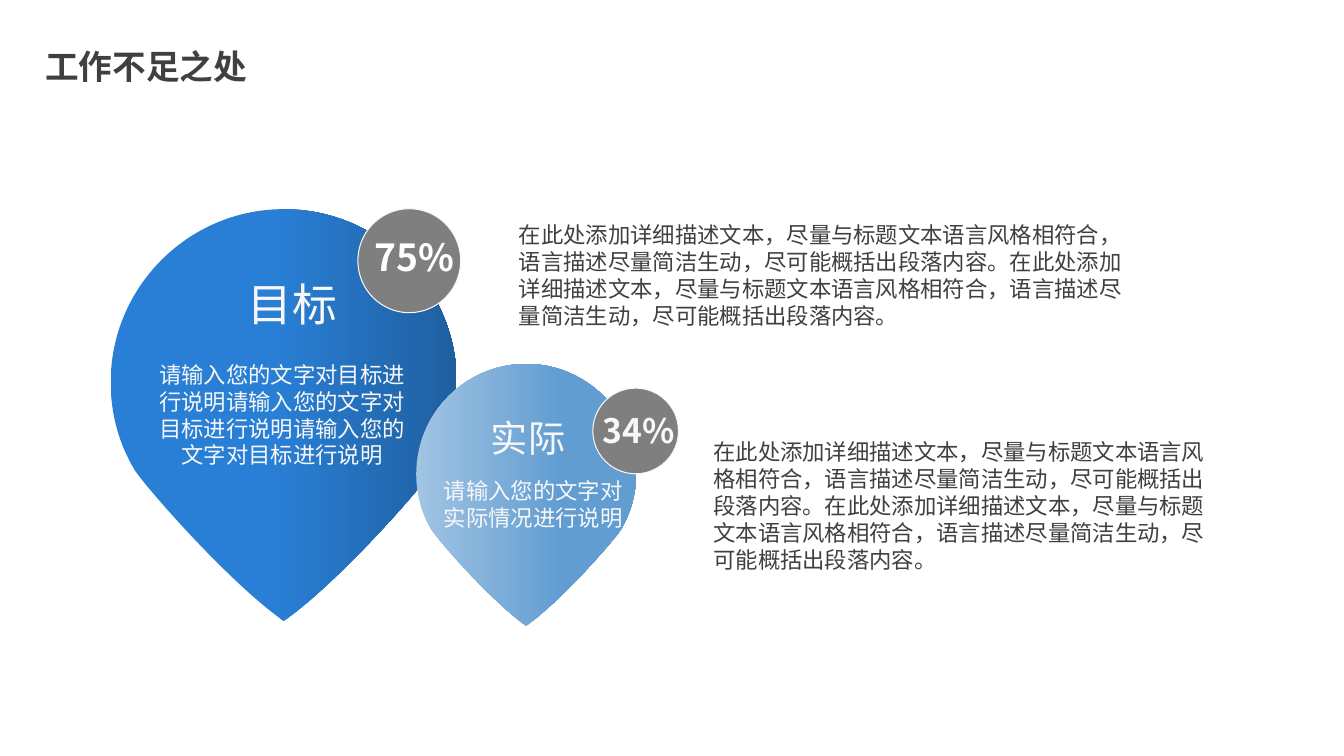
"""Build the slide comparing target and actual results with two drop shapes."""
from lxml.etree import Element, SubElement
from pptx import Presentation
from pptx.dml.color import RGBColor
from pptx.enum.shapes import MSO_SHAPE as Shape
from pptx.enum.text import MSO_ANCHOR as Anchor, MSO_AUTO_SIZE as AutoSize, PP_ALIGN as Align
from pptx.oxml.ns import qn
from pptx.util import Cm, Pt

FONT = "Noto Sans CJK SC"
COLORS = {
    "blue": "297FD5", "navy": "1F5FA0", "pale": "A1C4E3", "sky": "629DD1",
    "gray": "7F7F7F", "dark": "404040", "light": "F8F8F8", "white": "FFFFFF",
}
TITLE = ("工作不足之处", (0.89, 1.04, 5.64, 1.27), 24, "dark", True, Align.LEFT, False)
DESCRIPTION = "在此处添加详细描述文本，尽量与标题文本语言风格相符合，语言描述尽量简洁生动，尽可能概括出段落内容。" * 2
TARGET_NOTE = "请输入您的文字对目标进行说明" * 3
ACTUAL_NOTE = "请输入您的文字对实际情况进行说明"

# centre x, top, half width, gradient stops
DROPS = [
    (7.15, 5.27, 4.36, [(0.47, "blue"), (1, "navy")]),
    (13.26, 9.17, 2.77, [(0, "pale"), (0.66, "sky")]),
]
BADGES = [(9.02, 5.26, 2.59, 2.62), (14.94, 9.78, 2.16, 2.16)]
# text, box, size, colour, bold, alignment, wrap
TEXTS = [
    ("75%", (9.16, 5.79, 2.57, 1.4), 26.6, "white", True, Align.CENTER, False),
    ("34%", (14.94, 10.21, 2.36, 1.27), 24, "light", True, Align.LEFT, False),
    ("目标", (5.99, 6.86, 2.79, 1.63), 32, "light", False, Align.LEFT, False),
    (TARGET_NOTE, (3.49, 8.97, 7.24, 3.68), 16, "light", False, Align.CENTER, True),
    ("实际", (12.12, 10.34, 2.41, 1.4), 26.6, "light", False, Align.LEFT, False),
    (ACTUAL_NOTE, (10.85, 11.91, 5.18, 1.63), 16, "light", False, Align.CENTER, True),
    (DESCRIPTION, (12.83, 5.46, 15.93, 3), 16, "dark", False, Align.LEFT, True),
    (DESCRIPTION, (17.73, 10.92, 13.34, 3.68), 16, "dark", False, Align.LEFT, True),
]
RIGHT_CURVES = [
    [(0, 0), (0.55, 0), (1, 0.45), (1, 1)],
    [(1, 1), (1, 1.19), (0.95, 1.36), (0.86, 1.51)],
    [(0.86, 1.51), (0.77, 1.64), (0.3, 2.17), (0, 2.38)],
]
LEFT_CURVES = [[(-x, y) for x, y in reversed(curve)] for curve in reversed(RIGHT_CURVES)]
CURVES = RIGHT_CURVES + LEFT_CURVES


def rgb(name):
    return RGBColor.from_string(COLORS[name])


def bend_sides(drop, half):
    sides = list(drop._element.iter(qn("a:lnTo")))
    for side, curve in zip(sides, CURVES):
        side.tag = qn("a:cubicBezTo")
        for index, (x, y) in enumerate(curve[1:3]):
            handle = Element(qn("a:pt"), x=str(Cm((x + 1) * half)), y=str(Cm(y * half)))
            side.insert(index, handle)


def add_drop(page, center, top, half, stops):
    corners = [(Cm(center + x * half), Cm(top + y * half)) for *_, (x, y) in CURVES]
    builder = page.shapes.build_freeform(Cm(center), Cm(top))
    builder.add_line_segments(corners, close=True)
    drop = builder.convert_to_shape()
    bend_sides(drop, half)
    drop.shadow.inherit = False
    drop.line.fill.background()
    drop.fill.gradient()
    drop.fill.gradient_angle = 0
    for stop, (position, color) in zip(drop.fill.gradient_stops, stops):
        stop.position = position
        stop.color.rgb = rgb(color)


def add_badge(page, box):
    badge = page.shapes.add_shape(Shape.OVAL, *map(Cm, box))
    badge.shadow.inherit = False
    badge.fill.solid()
    badge.fill.fore_color.rgb = rgb("gray")
    badge.line.color.rgb = rgb("light")
    badge.line.width = Pt(0.75)


def write_text(shape, text, box, size, color, bold, alignment, wrap):
    shape.left, shape.top, shape.width, shape.height = map(Cm, box)
    frame = shape.text_frame
    frame.word_wrap = wrap
    frame.auto_size = AutoSize.SHAPE_TO_FIT_TEXT
    frame.vertical_anchor = Anchor.TOP
    para = frame.paragraphs[0]
    para.alignment = alignment
    span = para.add_run()
    span.text = text
    font = span.font
    font.name, font.size, font.bold = FONT, Pt(size), bold
    font.color.rgb = rgb(color)
    SubElement(span._r.get_or_add_rPr(), qn("a:ea")).set("typeface", FONT)


def main():
    deck = Presentation()
    deck.slide_width, deck.slide_height = Cm(33.87), Cm(19.05)
    page = deck.slides.add_slide(deck.slide_layouts[5])
    for drop in DROPS:
        add_drop(page, *drop)
    for box in BADGES:
        add_badge(page, box)
    for text in TEXTS:
        write_text(page.shapes.add_textbox(*map(Cm, text[1])), *text)
    write_text(page.shapes.title, *TITLE)
    deck.save("out.pptx")


if __name__ == "__main__":
    main()
